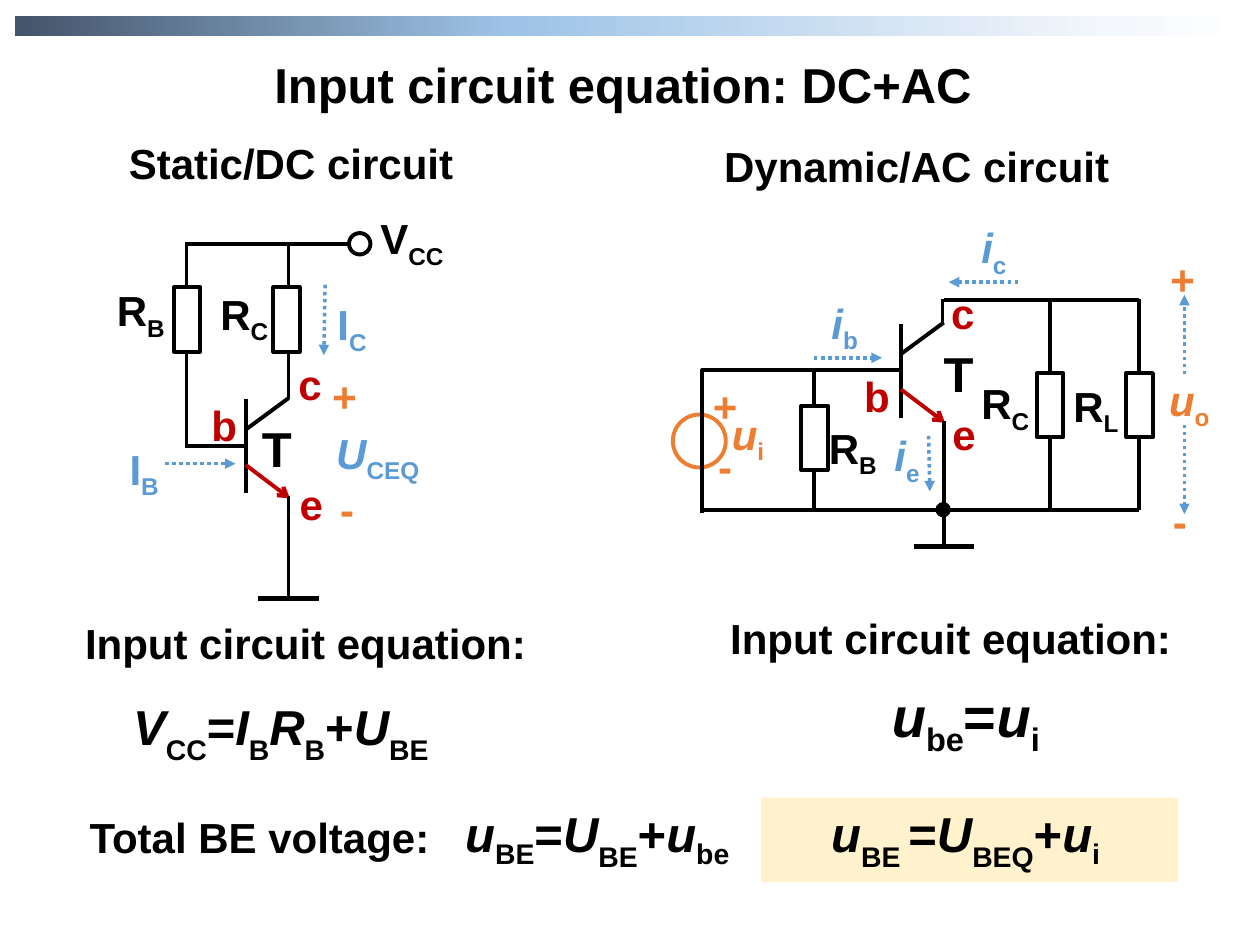
from lxml import etree
from pptx import Presentation
from pptx.dml.color import RGBColor
from pptx.enum.dml import MSO_LINE
from pptx.enum.shapes import MSO_CONNECTOR, MSO_SHAPE
from pptx.enum.text import MSO_ANCHOR, MSO_AUTO_SIZE, PP_ALIGN
from pptx.oxml.ns import qn
from pptx.util import Inches, Pt

BLACK = RGBColor(0x00, 0x00, 0x00)
WHITE = RGBColor(0xFF, 0xFF, 0xFF)
RED = RGBColor(0xC0, 0x00, 0x00)
BLUE = RGBColor(0x5B, 0x9B, 0xD5)
ORANGE = RGBColor(0xED, 0x7D, 0x31)
CREAM = RGBColor(0xFF, 0xF2, 0xCC)
BAR_STOPS = [(0, RGBColor(0x44, 0x54, 0x6A)), (40, RGBColor(0x9D, 0xC3, 0xE6)),
             (89, RGBColor(0xF4, 0xF7, 0xFC)), (100, WHITE)]
COLUMNS, ROWS = 100, 75
ITALIC, PLAIN = "italic", "plain"
SUB, LOW = -25, -30  # subscript depths in percent
LEFT, CENTER = PP_ALIGN.LEFT, PP_ALIGN.CENTER


class CircuitSlide:
    """Style and current slide; lengths are columns and rows of the grid."""
    font = "Arial"
    wire_width = 2.25

    def __init__(self, prs):
        self.col = prs.slide_width / COLUMNS
        self.row = prs.slide_height / ROWS
        self.slide = prs.slides.add_slide(prs.slide_layouts[5])
        self.shapes = self.slide.shapes

    def box(self, x, y, w, h):
        return (round(x * self.col), round(y * self.row),
                round(w * self.col), round(h * self.row))

    def add_runs(self, sp, runs, size, color, align):
        """Fill a shape with (text, style) runs; a number is a subscript depth."""
        tf = sp.text_frame
        tf.word_wrap = True
        tf.auto_size = MSO_AUTO_SIZE.SHAPE_TO_FIT_TEXT
        tf.vertical_anchor = MSO_ANCHOR.TOP
        p = tf.paragraphs[0]
        p.alignment = align
        for text, style in runs:
            r = p.add_run()
            r.text = text
            r.font.name, r.font.size, r.font.bold = self.font, Pt(size), True
            r.font.color.rgb = color
            r.font.italic = style == ITALIC
            if isinstance(style, int):
                r.font._element.set("baseline", str(style * 1000))

    def title(self, text, *at):
        sp = self.shapes.title
        sp.left, sp.top, sp.width, sp.height = self.box(*at)
        self.add_runs(sp, [(text, PLAIN)], 28, BLACK, CENTER)

    def text(self, runs, x, y, w, h=5, size=24, color=BLACK, align=LEFT):
        if isinstance(runs, str):
            runs = [(runs, PLAIN)]
        sp = self.shapes.add_textbox(*self.box(x, y, w, h))
        self.add_runs(sp, runs, size, color, align)

    def symbol(self, letter, index, x, y, w=6.4, color=BLACK, style=PLAIN):
        self.text([(letter, style), (index, SUB)], x, y, w, 5.9, color=color)

    def shape(self, kind, x, y, w, h, fill=None, line=None):
        sp = self.shapes.add_shape(kind, *self.box(x, y, w, h))
        sp.shadow.inherit = False
        if fill is None:
            sp.fill.background()
        else:
            sp.fill.solid()
            sp.fill.fore_color.rgb = fill
        if line is None:
            sp.line.fill.background()
        else:
            sp.line.color.rgb = line
            sp.line.width = Pt(self.wire_width)
        return sp

    def gradient_bar(self, stops, *at):
        sp = self.shape(MSO_SHAPE.RECTANGLE, *at)
        sp.fill.gradient()
        sp.fill.gradient_angle = 0
        gs_list = sp._element.spPr.find(".//" + qn("a:gsLst"))
        for gs in list(gs_list):
            gs_list.remove(gs)
        for pos, color in stops:
            gs = etree.SubElement(gs_list, qn("a:gs"), pos=str(pos * 1000))
            etree.SubElement(gs, qn("a:srgbClr"), val=str(color))

    def wire(self, x1, y1, x2, y2, color=BLACK, width=wire_width,
             dash=None, head=None, tail=None):
        ends = self.box(x1, y1, x2, y2)
        s = self.shapes.add_connector(MSO_CONNECTOR.STRAIGHT, *ends)
        s.line.color.rgb = color
        s.line.width = Pt(width)
        if dash:
            s.line.dash_style = dash
        ln = s._element.spPr.find(qn("a:ln"))
        for tag, kind in (("a:headEnd", head), ("a:tailEnd", tail)):
            if kind:
                etree.SubElement(ln, qn(tag), type=kind)
        etree.SubElement(s._element.spPr, qn("a:effectLst"))

    def current(self, *ends):
        self.wire(*ends, color=BLUE, width=2, dash=MSO_LINE.ROUND_DOT, tail="triangle")

    def resistor(self, cx, cy):
        sp = self.shape(MSO_SHAPE.RECTANGLE, cx - 2.55, cy - 1.05, 5.1, 2.1, WHITE, BLACK)
        sp.rotation = 270

    def transistor(self, x, y):
        """Base bar with its top at x, y, then collector and emitter legs."""
        self.wire(x, y, x, y + 7.45)
        self.wire(x, y + 2.4, x + 3.4, y - 0.1)
        self.wire(x + 3.5, y + 7.85, x, y + 5.2, color=RED, head="arrow")

    def terminals(self, **places):
        for name, (x, y) in places.items():
            self.text(name, x, y, 4.7, color=RED)

    def polarity(self, plus, minus):
        self.text("+", *plus, 6.4, color=ORANGE)
        self.text("-", *minus, 4.1, color=ORANGE)

    def ground(self, cx, y):
        self.wire(cx - 2.4, y, cx + 2.4, y, width=3)


def draw_dc_circuit(s):
    s.transistor(19.5, 31.7)
    for ends in [(19.5, 35.4, 14.7, 35.4), (22.9, 31.7, 22.9, 19.2),
                 (22.9, 39.4, 22.9, 47.4), (14.8, 35.4, 14.8, 19.2),
                 (27.8, 19.4, 14.7, 19.4)]:
        s.wire(*ends)
    for cx in (14.85, 22.75):
        s.resistor(cx, 25.35)
    s.ground(22.9, 47.5)
    s.shape(MSO_SHAPE.OVAL, 27.7, 18.5, 1.7, 1.7, WHITE, BLACK)
    s.current(13.1, 36.8, 18.7, 36.8)
    s.current(25.8, 22.6, 25.7, 28.2)
    s.symbol("V", "CC", 29.2, 16.4, 7.9)
    s.symbol("R", "C", 16.5, 22.4, 7.9)
    s.symbol("R", "B", 8.3, 22.1)
    s.symbol("I", "B", 9.3, 34.7, color=BLUE)
    s.symbol("I", "C", 25.8, 23.2, color=BLUE)
    s.symbol("U", "CEQ", 25.7, 33.4, 9.8, BLUE, ITALIC)
    s.text("T", 19.8, 32.7, 5.3, 5.7, size=28)
    s.terminals(b=(15.8, 31.2), e=(22.8, 37.5), c=(22.7, 28))
    s.polarity((25.4, 28.9), (26, 37.9))


def draw_ac_circuit(s):
    s.transistor(71.5, 25.7)
    for ends in [(83.3, 23.8, 83.3, 40.4), (71.5, 29.4, 55.6, 29.4),
                 (74.8, 25.7, 74.8, 23.7), (74.9, 33.4, 74.9, 43.4),
                 (64.6, 29.4, 64.6, 40.4), (90.4, 40.5, 55.6, 40.5),
                 (82.3, 23.8, 74.9, 23.8), (90.4, 23.8, 82.3, 23.8),
                 (90.4, 23.7, 90.4, 40.5)]:
        s.wire(*ends)
    for cx, cy in [(64.65, 34.75), (83.35, 32.15), (90.45, 32.15)]:
        s.resistor(cx, cy)
    s.ground(74.9, 43.4)
    s.shape(MSO_SHAPE.OVAL, 74.4, 40, 0.9, 0.9, BLACK, BLACK)
    s.shape(MSO_SHAPE.OVAL, 53.4, 32.9, 4.2, 4.2, line=ORANGE)
    s.wire(55.7, 29.3, 55.7, 40.7)
    for ends in [(94, 33.7, 94, 40.8), (94, 29.7, 94, 23.4), (80.8, 22.4, 75.3, 22.4),
                 (64.6, 28.4, 70, 28.4), (73.7, 34.6, 73.8, 39)]:
        s.current(*ends)
    s.symbol("R", "C", 76.9, 29.5, 7.9)
    s.symbol("R", "B", 64.8, 33)
    s.symbol("R", "L", 84.2, 29.7, 7.9)
    s.symbol("u", "i", 57.1, 31.9, 5.2, ORANGE, ITALIC)
    s.symbol("u", "o", 91.8, 29.2, color=ORANGE, style=ITALIC)
    for index, x, y in [("c", 76.9, 17.1), ("b", 65, 23.1), ("e", 70, 33.6)]:
        s.symbol("i", index, x, y, color=BLUE, style=ITALIC)
    s.text("T", 73.9, 26.8, 5.3, 5.7, size=28)
    s.terminals(b=(67.6, 28.9), e=(74.6, 31.9), c=(74.5, 22.3))
    s.polarity((55.6, 29.7), (56, 34.5))
    s.polarity((91.9, 19.6), (92.1, 38.8))


def add_equations(s):
    for text, x, y, w in [("Static/DC circuit", 8.3, 10.4, 29.6),
                          ("Dynamic/AC circuit", 56, 10.7, 33.5),
                          ("Input circuit equation:", 4.8, 48.5, 38.9),
                          ("Input circuit equation:", 56, 48.1, 38.9),
                          ("Total BE voltage:", 5.8, 63.9, 29.6)]:
        s.text(text, x, y, w, align=CENTER)
    s.text([("V", ITALIC), ("CC", LOW), ("=", PLAIN), ("I", ITALIC), ("B", LOW),
            ("R", ITALIC), ("B", LOW), ("+", PLAIN), ("U", ITALIC), ("BE ", LOW)],
           8.2, 54.8, 28.8, 6.7, size=28, align=CENTER)
    s.text([("u", ITALIC), ("be", SUB), ("=", PLAIN), ("u", ITALIC), ("i", SUB)],
           66.7, 53.6, 19.9, 7.5, size=32, align=CENTER)
    s.text([("u", ITALIC), ("BE", SUB), ("=", PLAIN), ("U", ITALIC), ("BE", LOW),
            ("+", PLAIN), ("u", ITALIC), ("be", SUB)],
           32.8, 63.3, 29.2, 6.7, size=28, align=CENTER)
    sp = s.shape(MSO_SHAPE.RECTANGLE, 60.4, 63.3, 33.1, 6.7, CREAM)
    s.add_runs(sp, [("u", ITALIC), ("BE ", LOW), ("=", PLAIN), ("U", ITALIC), ("BEQ", LOW),
                    ("+", PLAIN), ("u", ITALIC), ("i ", SUB)], 28, BLACK, CENTER)


def main():
    prs = Presentation()
    prs.slide_width, prs.slide_height = Inches(10), Inches(7.5)
    s = CircuitSlide(prs)
    s.gradient_bar(BAR_STOPS, 1.2, 1.3, 97.6, 1.6)
    s.title("Input circuit equation: DC+AC", 5.9, 3.8, 87.1, 5.7)
    draw_dc_circuit(s)
    draw_ac_circuit(s)
    add_equations(s)
    prs.save("out.pptx")


if __name__ == "__main__":
    main()
